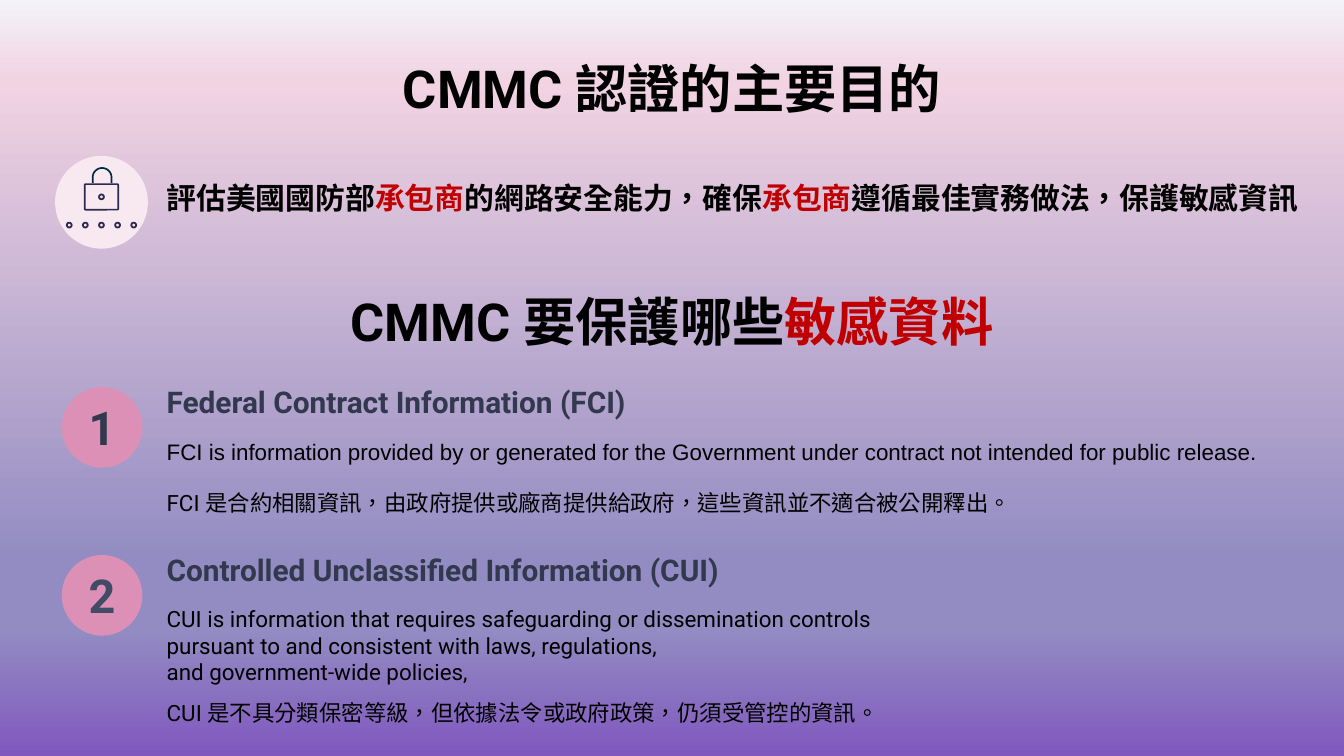
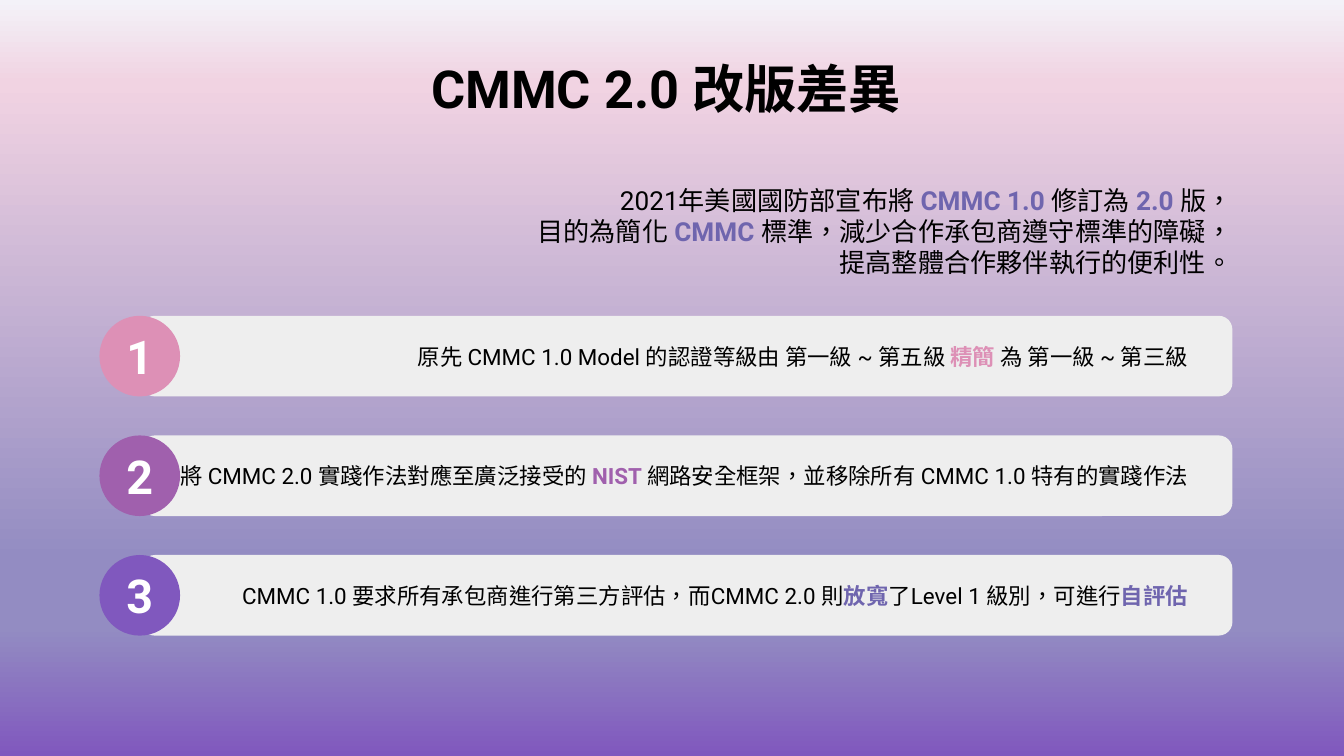
from math import cos, sin, pi
from lxml.etree import SubElement as Sub
from pptx import Presentation
from pptx.util import Inches, Pt
from pptx.dml.color import RGBColor
from pptx.enum.lang import MSO_LANGUAGE_ID as LANG
from pptx.enum.shapes import MSO_SHAPE as SHAPE
from pptx.enum.text import MSO_ANCHOR as ANCHOR, PP_ALIGN as ALIGN
from pptx.oxml.ns import qn

BLACK = RGBColor(0x00, 0x00, 0x00)
WHITE = RGBColor(0xFF, 0xFF, 0xFF)
RED = RGBColor(0xC0, 0x00, 0x00)
PINK = RGBColor(0xDD, 0x90, 0xB6)
BLUSH = RGBColor(0xF8, 0xE9, 0xF0)
PLUM = RGBColor(0xA0, 0x60, 0xAD)
VIOLET = RGBColor(0x80, 0x58, 0xBE)
INDIGO = RGBColor(0x6F, 0x65, 0xAE)
SLATE = RGBColor(0x32, 0x38, 0x4D)
STEEL = RGBColor(0x42, 0x4B, 0x66)
INK = RGBColor(0x2E, 0x29, 0x4E)
NAVY = RGBColor(0x01, 0x28, 0x40)
GREY = RGBColor(0xEE, 0xEE, 0xEE)
STOPS = [(0, RGBColor(0xF3, 0xF2, 0xF8)), (11, RGBColor(0xF1, 0xD3, 0xE2)),
         (74, RGBColor(0x93, 0x8C, 0xC2)), (83, RGBColor(0x93, 0x8C, 0xC2)),
         (100, VIOLET)]


def write(shape, paras, size, color=BLACK, bold=False, align=ALIGN.LEFT,
          left=0.1, right=0.1, anchor=ANCHOR.MIDDLE, font="Roboto"):
    """Fill a shape with paragraphs of runs; a (text, colour) run is a bold accent."""
    frame = shape.text_frame
    frame.word_wrap = True
    frame.vertical_anchor = anchor
    frame.margin_left, frame.margin_right = Inches(left), Inches(right)
    frame.margin_top = frame.margin_bottom = Inches(0.1)
    for i, runs in enumerate(paras):
        para = frame.paragraphs[0] if i == 0 else frame.add_paragraph()
        para.alignment = align
        # Keep closing punctuation inside the margin
        para._p.get_or_add_pPr().set("hangingPunct", "0")
        for part in runs:
            text, tint, heavy = (part, color, bold) if isinstance(part, str) else (*part, True)
            run = para.add_run()
            run.text = text
            run.font.name, run.font.size = font, Pt(size)
            run.font.bold, run.font.color.rgb = heavy, tint
            run.font.language_id = LANG.TRADITIONAL_CHINESE


def draw(slide, kind, x, y, w, h, fill=None, adj=None):
    """Add a preset shape with no shadow and no line."""
    shape = slide.shapes.add_shape(kind, Inches(x), Inches(y), Inches(w), Inches(h))
    shape.shadow.inherit = False
    shape.line.fill.background()
    if fill is None:
        shape.fill.background()
    else:
        shape.fill.solid()
        shape.fill.fore_color.rgb = fill
    if adj is not None:
        shape.adjustments[0] = adj
    return shape


deck = Presentation()
deck.slide_width, deck.slide_height = Inches(10), Inches(10) * 9 // 16
goals, changes = [deck.slides.add_slide(deck.slide_layouts[6]) for _ in range(2)]

# Shared backdrop and titles
for slide in (goals, changes):
    fill = slide.background.fill
    fill.gradient()
    fill.gradient_angle = 270
    stops = fill._fill._gradFill.find(qn("a:gsLst"))
    for stop in list(stops):
        stops.remove(stop)
    for pos, tint in STOPS:
        stop = Sub(stops, qn("a:gs"), pos=str(pos * 1000))
        Sub(stop, qn("a:srgbClr"), val=str(tint))

for slide, y, runs in [
    (goals, 0.32, ["CMMC 認證的主要目的"]),
    (goals, 2.05, ["CMMC 要保護哪些", ("敏感資料", RED)]),
    (changes, 0.32, ["CMMC 2.0 改版差異 "]),
]:
    box = slide.shapes.add_textbox(Inches(0.5), Inches(y), Inches(9), Inches(0.63))
    write(box, [runs], 28, bold=True, align=ALIGN.CENTER, anchor=ANCHOR.TOP)

# Padlock icon
draw(goals, SHAPE.OVAL, 0.41, 1.16, 0.69, 0.69, BLUSH)
arch = [(0.76 - 0.07 * cos(pi * k / 16), 1.32 - 0.07 * sin(pi * k / 16)) for k in range(17)]
pen = goals.shapes.build_freeform(Inches(0.69), Inches(1.36))
pen.add_line_segments([(Inches(x), Inches(y)) for x, y in arch + [(0.83, 1.36)]], close=False)
hoop = pen.convert_to_shape()
hoop.shadow.inherit = False
hoop.fill.background()
lock = draw(goals, SHAPE.ROUNDED_RECTANGLE, 0.63, 1.37, 0.25, 0.19, adj=0.04)
for part, tint in ((hoop, NAVY), (lock, INK)):
    part.line.color.rgb = tint
    part.line.width = Pt(0.9)
for x, y in [(0.73, 1.44)] + [(0.49 + 0.12 * k, 1.65) for k in range(5)]:
    draw(goals, SHAPE.DONUT, x, y, 0.05, 0.05, INK, 0.28)

# Purpose and the two kinds of information
for y, w, h, paras, size, color, bold, font in [
    (1.33, 8.56, 0.28, [["評估美國國防部", ("承包商", RED), "的網路安全能力，確保",
                         ("承包商", RED), "遵循最佳實務做法，保護敏感資訊"]],
     16, BLACK, True, "Roboto"),
    (2.88, 8.26, 0.22, [["Federal Contract Information (FCI)"]], 16, SLATE, True, "Roboto"),
    (3.12, 8.26, 0.48, [["FCI is information provided by or generated for the Government "
                         "under contract not intended for public release."]],
     12, BLACK, False, "Arial"),
    (3.5, 7.71, 0.48, [["FCI 是合約相關資訊，由政府提供或廠商提供給政府，"
                        "這些資訊並不適合被公開釋出。"]], 12, BLACK, False, "Roboto"),
    (4.13, 7.71, 0.22, [["Controlled Unclassified Information (CUI)"]],
     16, SLATE, True, "Roboto"),
    (4.54, 8.76, 0.52, [["CUI is information that requires safeguarding or dissemination controls"],
                        ["pursuant to and consistent with laws, regulations,"],
                        ["and government-wide policies,"]], 12, BLACK, False, "Roboto"),
    (5.06, 7.71, 0.48, [["CUI 是不具分類保密等級，但依據法令或政府政策，"
                         "仍須受管控的資訊。"]], 12, BLACK, False, "Roboto"),
]:
    box = goals.shapes.add_textbox(Inches(1.24), Inches(y), Inches(w), Inches(h))
    write(box, paras, size, color, bold, left=0, right=0, font=font)

# Cards with the three changes
cards = [
    ["原先 CMMC 1.0 Model 的認證等級由 第一級 ~ 第五級 ", ("精簡 ", PINK), "為 第一級 ~ 第三級"],
    ["將 CMMC 2.0 實踐作法對應至廣泛接受的 ", ("NIST ", PLUM),
     "網路安全框架，並移除所有 CMMC 1.0 特有的實踐作法"],
    ["CMMC 1.0 要求所有承包商進行第三方評估，而CMMC 2.0 則", ("放寬", INDIGO),
     "了Level 1 級別，可進行", ("自評估", INDIGO)],
]
tops = [2.35 + 0.89 * i for i in range(len(cards))]
for y, runs in zip(tops, cards):
    card = draw(changes, SHAPE.ROUNDED_RECTANGLE, 1.05, y, 8.12, 0.6, GREY, 0.17)
    write(card, [runs], 12, align=ALIGN.RIGHT, left=0.2, right=0.3)

# Numbered discs on both slides
for slide, x, y, num, fill, color in [
    (goals, 0.46, 2.88, "1", PINK, SLATE),
    (goals, 0.46, 4.13, "2", PINK, STEEL),
    (changes, 0.74, tops[0], "1", PINK, WHITE),
    (changes, 0.74, tops[1], "2", PLUM, WHITE),
    (changes, 0.74, tops[2], "3", VIOLET, WHITE),
]:
    disc = draw(slide, SHAPE.OVAL, x, y, 0.6, 0.6, fill)
    write(disc, [[num]], 25, color, True, ALIGN.CENTER)

# Lead text of the second slide
lead = draw(changes, SHAPE.ROUNDED_RECTANGLE, 3.72, 1.24, 5.65, 0.96, adj=0.17)
write(lead, [
    ["2021年美國國防部宣布將 ", ("CMMC 1.0 ", INDIGO), "修訂為 ", ("2.0 ", INDIGO), "版，"],
    ["目的為簡化 ", ("CMMC", INDIGO), " 標準，減少合作承包商遵守標準的障礙，"],
    ["提高整體合作夥伴執行的便利性。"],
], 14, align=ALIGN.RIGHT, left=0.2, right=0.15)

deck.save("out.pptx")
